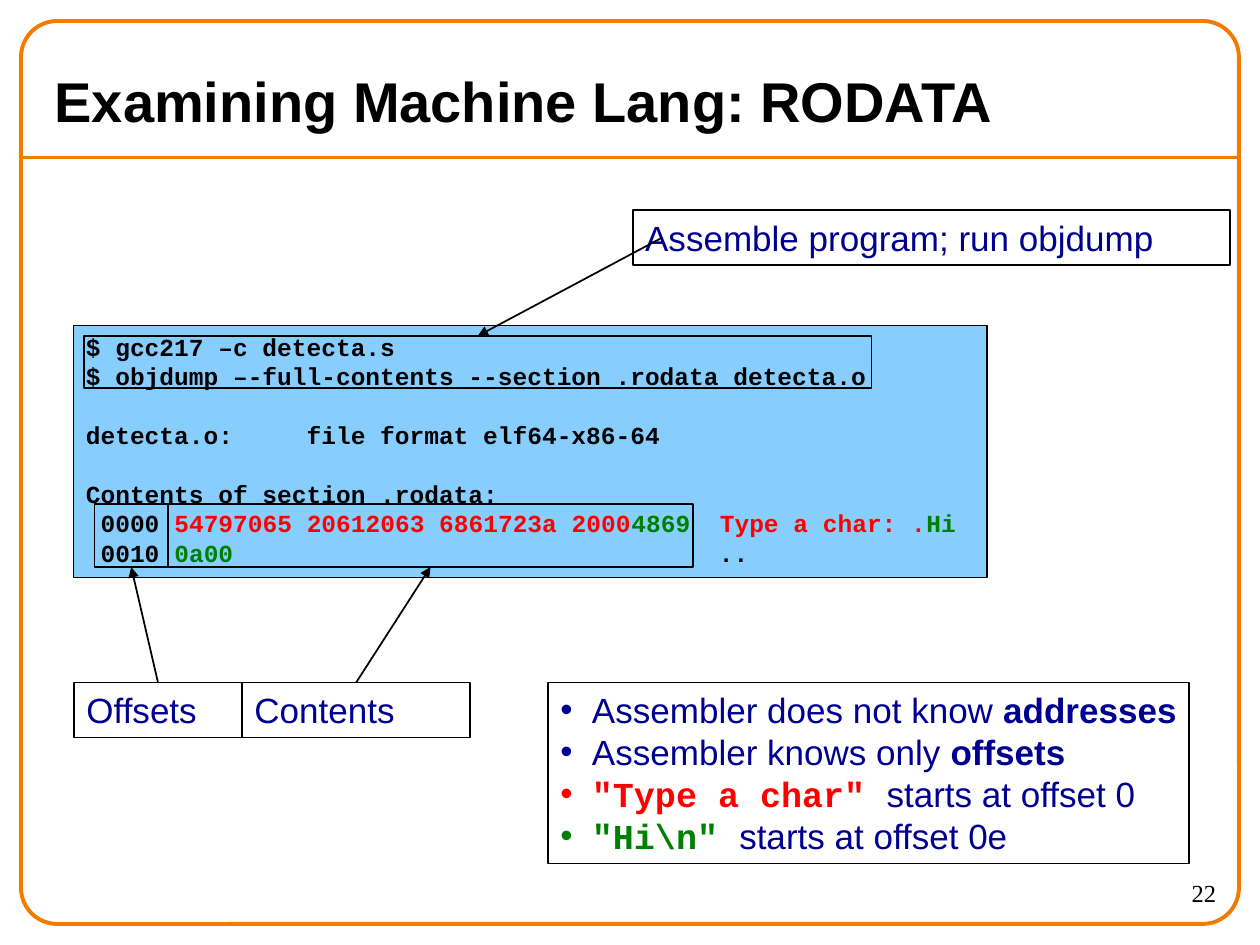
import pptx
import pptx.chart.data
import pptx.dml.color
import pptx.enum.shapes
import pptx.enum.text
import pptx.oxml.ns
import pptx.util
from dataclasses import dataclass
from lxml import etree

Pt = pptx.util.Pt
Shape = pptx.enum.shapes.MSO_SHAPE
Align = pptx.enum.text.PP_ALIGN
Anchor = pptx.enum.text.MSO_ANCHOR
qn = pptx.oxml.ns.qn


@dataclass(frozen=True)
class Theme:
    orange: str = "F47A00"
    sky: str = "87CEFF"
    white: str = "FFFFFF"
    black: str = "000000"
    navy: str = "000090"
    red: str = "FF0000"
    green: str = "008000"
    sans: str = "Arial"
    mono: str = "Courier New"
    serif: str = "Times New Roman"
    title_size: int = 32
    note_size: int = 20
    code_size: int = 14
    pitch: float = 1.2


theme = Theme()

# Text formats
TITLE = dict(name=theme.sans, size=theme.title_size, bold=True, color=theme.black)
NUMBER = dict(name=theme.serif, size=theme.code_size, bold=False, color=theme.black)
CODE = dict(name=theme.mono, size=theme.code_size, bold=True, color=theme.black)
CODE_RED = CODE | dict(color=theme.red)
CODE_GREEN = CODE | dict(color=theme.green)
NOTE = dict(name=theme.sans, size=theme.note_size, bold=False, color=theme.navy)
STRONG = NOTE | dict(bold=True)
QUOTE_RED = CODE_RED | dict(size=theme.note_size)
QUOTE_GREEN = CODE_GREEN | dict(size=theme.note_size)

# Content: each paragraph is a list of (text, format) spans
title = "Examining Machine Lang: RODATA"
page_number = "22"
code_blocks = [
    [
        [("$ gcc217 –c detecta.s", CODE)],
        [("$ objdump –-full-contents --section .rodata detecta.o", CODE)],
    ],
    [[("detecta.o:     file format elf64-x86-64", CODE)]],
    [
        [("Contents of section .rodata:", CODE)],
        [(" 0000 ", CODE), ("54797065 20612063 6861723a 2000", CODE_RED),
         ("4869  ", CODE_GREEN), ("Type a char: .", CODE_RED), ("Hi", CODE_GREEN)],
        [(" 0010 ", CODE), ("0a00", CODE_GREEN),
         ("                                 ..", CODE)],
    ],
]
facts = [
    [("Assembler does not know ", NOTE), ("addresses", STRONG)],
    [("Assembler knows only ", NOTE), ("offsets", STRONG)],
    [('"Type a char" ', QUOTE_RED), ("starts at offset 0", NOTE)],
    [('"Hi\\n" ', QUOTE_GREEN), ("starts at offset 0e", NOTE)],
]

# Places: left, top, width, height
frame_place = (12, 12, 696, 516)
title_place = (24, 30, 672, 54)
number_place = (630, 498, 72, 30)
code_place = (42, 186, 522, 144)
facts_place = (313.2, 390, 366.3, 103.5)
labels = {
    "Assemble program; run objdump": (361.6, 120, 341.4, 31.5),
    "Offsets": (42.3, 390, 96, 31.5),
    "Contents": (138.3, 390, 130.5, 31.5),
}
outlines = {
    "commands": (48, 192, 450, 30),
    "offsets": (54, 288, 42, 36),
    "contents": (96, 288, 300, 36),
}
TOP, BOTTOM = 0, 2
rule_y = 90
callout_start = (378, 136)


def rgb(code):
    return pptx.dml.color.RGBColor.from_string(code)


def points(values):
    return [Pt(value) for value in values]


def add_spans(para, spans):
    for text, style in spans:
        span = para.add_run()
        span.text = text
        values = dict(name=style["name"], size=Pt(style["size"]), bold=style["bold"])
        for key, value in values.items():
            setattr(span.font, key, value)
        span.font.color.rgb = rgb(style["color"])


def write(box, paragraphs, right=0):
    frame = box.text_frame
    values = dict(word_wrap=True, vertical_anchor=Anchor.TOP, margin_left=Pt(7.2),
                  margin_right=Pt(right), margin_top=Pt(3.6), margin_bottom=Pt(3.6))
    for key, value in values.items():
        setattr(frame, key, value)
    for index, spans in enumerate(paragraphs):
        para = frame.add_paragraph() if index else frame.paragraphs[0]
        para.alignment = Align.LEFT
        para.line_spacing = Pt(spans[0][1]["size"] * theme.pitch)
        add_spans(para, spans)
    return frame.paragraphs


def add_box(page, place, fill=None, line=theme.black, width=1, kind=Shape.RECTANGLE):
    box = page.shapes.add_shape(kind, *points(place))
    box.shadow.inherit = False
    if fill:
        box.fill.solid()
        box.fill.fore_color.rgb = rgb(fill)
    else:
        box.fill.background()
    box.line.color.rgb = rgb(line)
    box.line.width = Pt(width)
    return box


def add_line(page, start, end, color=theme.black, width=1, arrow=False):
    line = page.shapes.add_connector(
        pptx.enum.shapes.MSO_CONNECTOR.STRAIGHT, *points(start + end))
    line.line.color.rgb = rgb(color)
    line.line.width = Pt(width)
    properties = line._element.spPr
    if arrow:
        etree.SubElement(properties.find(qn("a:ln")), qn("a:tailEnd"), type="triangle")
    etree.SubElement(properties, qn("a:effectLst"))
    return line


def add_bullet(para, color):
    properties = para._p.get_or_add_pPr()
    properties.set("marL", str(Pt(18)))
    properties.set("indent", str(-Pt(18)))
    tint = etree.SubElement(properties, qn("a:buClr"))
    etree.SubElement(tint, qn("a:srgbClr"), val=color)
    etree.SubElement(properties, qn("a:buFont"), typeface=theme.sans)
    etree.SubElement(properties, qn("a:buChar"), char="•")


def main():
    deck = pptx.Presentation()
    deck.slide_width, deck.slide_height = Pt(720), Pt(540)
    page = deck.slides.add_slide(deck.slide_layouts[5])

    # Frame and rule
    left, _, width, _ = frame_place
    add_line(page, (left, rule_y), (left + width, rule_y), theme.orange, 2.25)
    frame = add_box(page, frame_place, None, theme.orange, 2.25, Shape.ROUNDED_RECTANGLE)
    frame.adjustments[0] = 0.04

    # Title and page number
    heading = page.shapes.title
    heading.left, heading.top, heading.width, heading.height = points(title_place)
    write(heading, [[(title, TITLE)]])
    heading.text_frame.vertical_anchor = Anchor.MIDDLE
    number = page.shapes.add_textbox(*points(number_place))
    write(number, [[(page_number, NUMBER)]], right=7.2)[0].alignment = Align.RIGHT

    # Terminal listing, one line of space between blocks
    listing = add_box(page, code_place, theme.sky)
    paras = write(listing, [line for block in code_blocks for line in block])
    start = 0
    for block in code_blocks[:-1]:
        start += len(block)
        paras[start].space_before = Pt(theme.code_size * theme.pitch)

    # Labels and the outlines they point to
    label_boxes = {}
    for text, place in labels.items():
        label_boxes[text] = add_box(page, place, theme.white)
        write(label_boxes[text], [[(text, NOTE)]])
    outline_boxes = {name: add_box(page, place) for name, place in outlines.items()}

    # Arrows
    callout = add_line(page, callout_start, callout_start, arrow=True)
    callout.end_connect(outline_boxes["commands"], TOP)
    for text in ("Offsets", "Contents"):
        arrow = add_line(page, (0, 0), (0, 0), arrow=True)
        arrow.begin_connect(label_boxes[text], TOP)
        arrow.end_connect(outline_boxes[text.lower()], BOTTOM)

    # Facts
    facts_box = add_box(page, facts_place)
    for para, spans in zip(write(facts_box, facts), facts):
        add_bullet(para, spans[0][1]["color"])

    deck.save("out.pptx")


if __name__ == "__main__":
    main()
